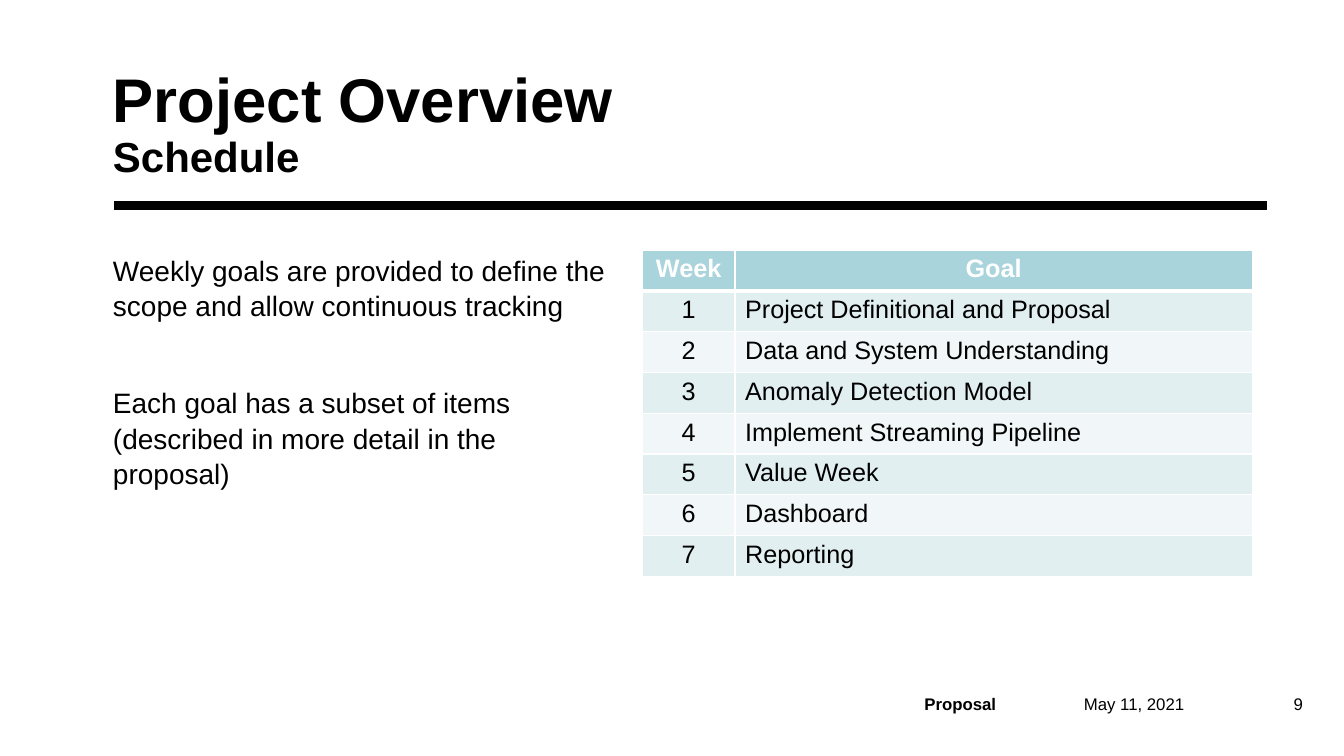
import pptx
import pptx.dml.color
import pptx.enum.shapes
import pptx.enum.text
import pptx.oxml
import pptx.oxml.ns
import pptx.util

Inches, Pt = pptx.util.Inches, pptx.util.Pt
RGBColor = pptx.dml.color.RGBColor
PP_ALIGN = pptx.enum.text.PP_ALIGN
MSO_ANCHOR = pptx.enum.text.MSO_ANCHOR

BLACK = RGBColor(0x00, 0x00, 0x00)
WHITE = RGBColor(0xFF, 0xFF, 0xFF)
HEADER = RGBColor(0xA9, 0xD4, 0xDB)
BANDS = [RGBColor(0xE2, 0xEF, 0xF1), RGBColor(0xF1, 0xF7, 0xF8)]
FONT = "Arial"

TITLE = [("Project Overview", 44), ("Schedule", 30)]
BODY = [
    "Weekly goals are provided to define the scope and allow continuous tracking",
    "Each goal has a subset of items (described in more detail in the proposal)",
]
GOALS = [
    "Project Definitional and Proposal",
    "Data and System Understanding",
    "Anomaly Detection Model",
    "Implement Streaming Pipeline",
    "Value Week",
    "Dashboard",
    "Reporting",
]
COLUMNS = [("Week", 0.92), ("Goal", 5.13)]
# text, left, width, side inset, bold, alignment
FOOTER = [
    ("Proposal", 9.07, 1.6, 0.1, True, PP_ALIGN.LEFT),
    ("May 11, 2021", 10.75, 1.67, 0, False, PP_ALIGN.LEFT),
    ("9", 12.57, 0.45, 0.1, False, PP_ALIGN.RIGHT),
]


def set_font(font, size, bold=False, color=BLACK):
    values = {"name": FONT, "size": Pt(size), "bold": bold}
    for name, value in values.items():
        setattr(font, name, value)
    font.color.rgb = color


def set_frame(tf, anchor, side=0, vertical=0):
    values = {
        "word_wrap": True,
        "vertical_anchor": anchor,
        "margin_left": Inches(side),
        "margin_right": Inches(side),
        "margin_top": Inches(vertical),
        "margin_bottom": Inches(vertical),
    }
    for name, value in values.items():
        setattr(tf, name, value)


def add_textbox(s, left, top, width, height):
    return s.shapes.add_textbox(*map(Inches, (left, top, width, height))).text_frame


def add_title(s):
    sp = s.shapes.title
    sp.left, sp.top, sp.width, sp.height = map(Inches, (1.12, 0.42, 11.03, 1.38))
    set_frame(sp.text_frame, MSO_ANCHOR.BOTTOM)
    p = sp.text_frame.paragraphs[0]
    p.alignment, p.line_spacing = PP_ALIGN.LEFT, 0.9
    for i, (text, size) in enumerate(TITLE):
        if i:
            p.add_line_break()
        r = p.add_run()
        r.text = text
        set_font(r.font, size, bold=True)


def add_rule(s):
    line = s.shapes.add_connector(
        pptx.enum.shapes.MSO_CONNECTOR.STRAIGHT, *map(Inches, (1.13, 2.04, 12.57, 2.04)))
    line.line.color.rgb = BLACK
    line.line.width = Pt(6)
    pptx.oxml.ns.qn("a:effectLst")
    line._element.spPr.append(
        pptx.oxml.parse_xml(f'<a:effectLst {pptx.oxml.ns.nsdecls("a")}/>'))


def add_body(s):
    tf = add_textbox(s, 1.12, 2.5, 4.99, 4.48)
    set_frame(tf, MSO_ANCHOR.TOP)
    for i, text in enumerate(BODY):
        p = tf.add_paragraph() if i else tf.paragraphs[0]
        p.text = text
        p.line_spacing = 1.05
        p.space_before = Pt(44 if i else 0)
        set_font(p.font, 20)


def add_borders(cell, top, bottom):
    tcPr = cell._tc.get_or_add_tcPr()
    for side, width in (("L", 1), ("R", 1), ("T", top), ("B", bottom)):
        tcPr.append(pptx.oxml.parse_xml(
            f'<a:ln{side} {pptx.oxml.ns.nsdecls("a")} w="{Pt(width)}"><a:solidFill>'
            f'<a:srgbClr val="{WHITE}"/></a:solidFill></a:ln{side}>'))


def add_schedule(s):
    rows = [[name for name, _ in COLUMNS]]
    rows += [[str(week), goal] for week, goal in enumerate(GOALS, 1)]
    table = s.shapes.add_table(
        len(rows), len(COLUMNS), *map(Inches, (6.37, 2.48, 6.05, 3.24))).table
    for column, (_, width) in zip(table.columns, COLUMNS):
        column.width = Inches(width)
    for i, row in enumerate(rows):
        header = i == 0
        for j, text in enumerate(row):
            cell = table.cell(i, j)
            add_borders(cell, 3 if i == 1 else 1, 3 if header else 1)
            cell.fill.solid()
            cell.fill.fore_color.rgb = HEADER if header else BANDS[(i - 1) % 2]
            p = cell.text_frame.paragraphs[0]
            p.alignment = PP_ALIGN.CENTER if header or j == 0 else PP_ALIGN.LEFT
            r = p.add_run()
            r.text = text
            set_font(r.font, 18, header, WHITE if header else BLACK)


def add_footer(s):
    for text, left, width, inset, bold, align in FOOTER:
        tf = add_textbox(s, left, 6.88, width, 0.2)
        set_frame(tf, MSO_ANCHOR.MIDDLE, inset, 0.05)
        p = tf.paragraphs[0]
        p.text, p.alignment = text, align
        set_font(p.font, 12, bold)


def main():
    prs = pptx.Presentation()
    prs.slide_width, prs.slide_height = Inches(13.33), Inches(7.5)
    s = prs.slides.add_slide(prs.slide_layouts[5])
    add_rule(s)
    add_title(s)
    add_footer(s)
    add_schedule(s)
    add_body(s)
    prs.save("out.pptx")


if __name__ == "__main__":
    main()
